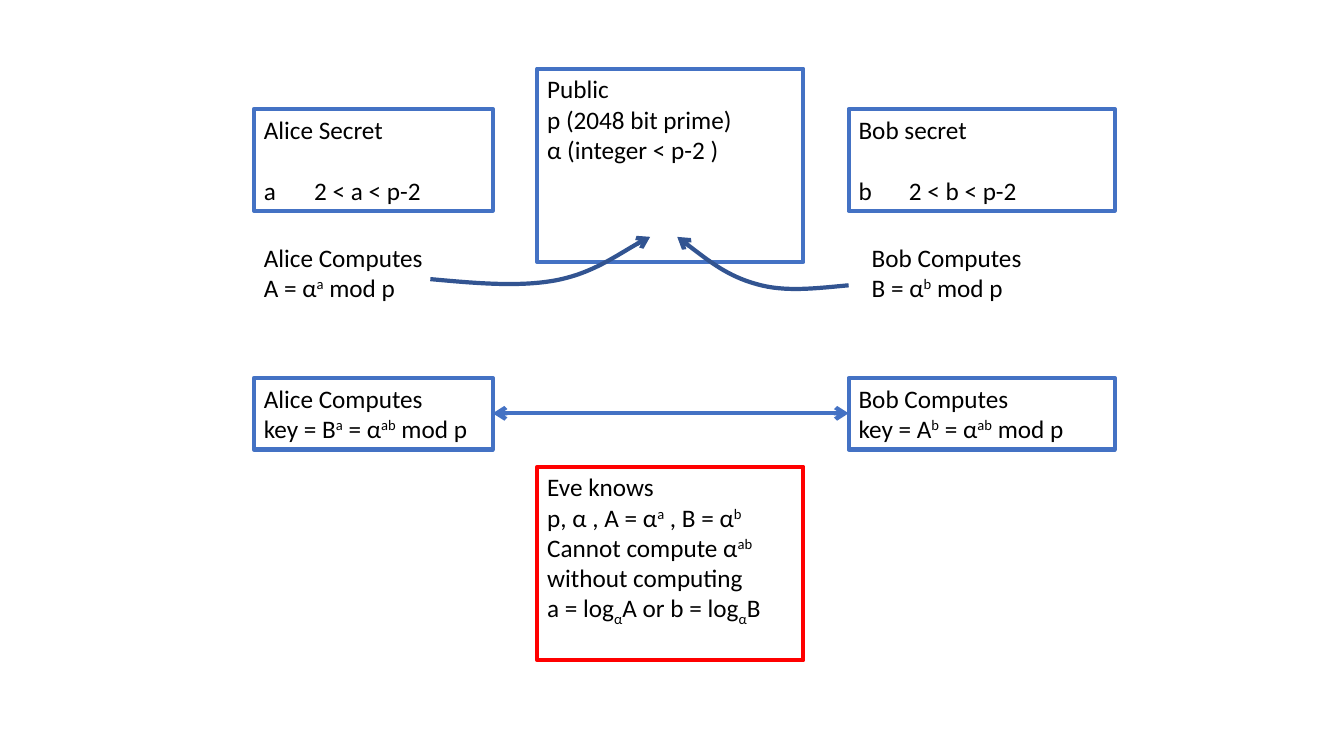
"""Draw a Diffie-Hellman key exchange between Alice and Bob."""
from dataclasses import dataclass

from lxml import etree
from pptx import Presentation
from pptx.dml.color import RGBColor
from pptx.enum.shapes import MSO_CONNECTOR, MSO_SHAPE
from pptx.enum.text import MSO_ANCHOR, PP_ALIGN
from pptx.oxml.ns import qn
from pptx.util import Pt

RECTANGLE = MSO_SHAPE.RECTANGLE
STRAIGHT = MSO_CONNECTOR.STRAIGHT
TOP = MSO_ANCHOR.TOP
LEFT = PP_ALIGN.LEFT

BLACK = RGBColor(0x00, 0x00, 0x00)
BLUE = RGBColor(0x44, 0x72, 0xC4)
NAVY = RGBColor(0x32, 0x54, 0x91)
RED = RGBColor(0xFF, 0x00, 0x00)

ALICE_X, PUBLIC_X, BOB_X = 181.4, 383.8, 606.2
ALICE_WIDTH, WIDTH = 170.6, 190.1
SECRET_Y, SEND_Y, KEY_Y = 77.8, 169.2, 270
SECRET_HEIGHT, STEP_HEIGHT, CENTRE_HEIGHT = 72.7, 51.1, 138.2
EXCHANGE_Y = 295.2
LINE_WIDTH = 3
FONT_SIZE = 18
LINE_GAP = 22
BASELINES = {"^": "30000", "_": "-25000"}


@dataclass
class Note:
    """Text whose parts are split by |, with ^ raising and _ lowering a part."""
    left: float
    top: float
    width: float
    height: float
    lines: list[str]
    frame: RGBColor | None = BLUE
    gap: float = 0


@dataclass
class Curve:
    """A start point followed by Bezier points in threes."""
    start: tuple[float, float]
    points: list[tuple[float, float]]


NOTES = [
    Note(BOB_X, SECRET_Y, WIDTH, SECRET_HEIGHT, ["Bob secret", "b\t2 < b < p-2"], gap=LINE_GAP),
    Note(PUBLIC_X, 49, WIDTH, CENTRE_HEIGHT, ["Public", "p (2048 bit prime)", "α (integer < p-2 )"]),
    Note(ALICE_X, SECRET_Y, ALICE_WIDTH, SECRET_HEIGHT,
         ["Alice Secret", "a\t2 < a < p-2"], gap=LINE_GAP),
    Note(ALICE_X, SEND_Y, WIDTH, STEP_HEIGHT, ["Alice Computes", "A = α|^a| mod p"], frame=None),
    Note(615.6, SEND_Y, WIDTH, STEP_HEIGHT, ["Bob Computes", "B = α|^b| mod p"], frame=None),
    Note(ALICE_X, KEY_Y, ALICE_WIDTH, STEP_HEIGHT,
         ["Alice Computes", "key = B|^a| = α|^ab| mod p"]),
    Note(BOB_X, KEY_Y, WIDTH, STEP_HEIGHT, ["Bob Computes", "key = A|^b| = α|^ab| mod p"]),
    Note(PUBLIC_X, 333.4, WIDTH, CENTRE_HEIGHT,
         ["Eve knows", "p, α , A = α|^a| , B = α|^b", "Cannot compute α|^ab| without computing",
          "a = log|_α|A or b = log|_α|B"], frame=RED),
]

CURVES = [
    Curve((307.4, 199.4), [(339.1, 202.3), (370.8, 205.2), (397.4, 200.2),
                           (423.4, 195.1), (447.1, 177.8), (464.4, 169.2)]),
    Curve((606.2, 203.8), [(583.2, 205.9), (560.9, 208.8), (540.7, 203),
                           (519.8, 197.3), (501.8, 182.9), (483.8, 169.2)]),
]


def style_line(line, color: RGBColor, *arrow_ends: str) -> None:
    """Colour a line and put open arrowheads on the given ends."""
    line.color.rgb = color
    line.width = Pt(LINE_WIDTH)
    for end in arrow_ends:
        etree.SubElement(line._get_or_add_ln(), qn(f"a:{end}"), type="arrow")


def write_line(paragraph, text: str) -> None:
    """Write one line with its raised and lowered parts."""
    paragraph.alignment = LEFT
    paragraph.font.name = "Calibri"
    paragraph.font.size = Pt(FONT_SIZE)
    paragraph.font.color.rgb = BLACK
    for part in text.split("|"):
        run = paragraph.add_run()
        baseline = BASELINES.get(part[0])
        run.text = part[1:] if baseline else part
        if baseline:
            run._r.get_or_add_rPr().set("baseline", baseline)


def draw_note(shapes, note: Note) -> None:
    """Draw a note, framed if it has a frame colour."""
    place = [Pt(length) for length in (note.left, note.top, note.width, note.height)]
    if note.frame is None:
        box = shapes.add_textbox(*place)
    else:
        box = shapes.add_shape(RECTANGLE, *place)
        box.shadow.inherit = False
        box.fill.background()
        style_line(box.line, note.frame)
    frame = box.text_frame
    frame.word_wrap = True
    frame.vertical_anchor = TOP
    for index, text in enumerate(note.lines):
        paragraph = frame.add_paragraph() if index else frame.paragraphs[0]
        if index and note.gap:
            paragraph.space_before = Pt(note.gap)
        write_line(paragraph, text)


def draw_curve(shapes, curve: Curve) -> None:
    """Draw a smooth arrow by joining path points into Bezier segments."""
    builder = shapes.build_freeform(*(Pt(length) for length in curve.start))
    builder.add_line_segments([(Pt(x), Pt(y)) for x, y in curve.points], close=False)
    arrow = builder.convert_to_shape()
    arrow.shadow.inherit = False
    arrow.fill.background()
    style_line(arrow.line, NAVY, "tailEnd")
    steps = list(arrow._element.iter(qn("a:lnTo")))
    for first, second, third in zip(steps[::3], steps[1::3], steps[2::3]):
        first.tag = qn("a:cubicBezTo")
        for step in (second, third):
            first.append(step[0])
            step.getparent().remove(step)


def draw_exchange(shapes) -> None:
    """Join both keys with a two-way arrow."""
    exchange = shapes.add_connector(
        STRAIGHT, Pt(ALICE_X + ALICE_WIDTH), Pt(EXCHANGE_Y), Pt(BOB_X), Pt(EXCHANGE_Y))
    style_line(exchange.line, BLUE, "headEnd", "tailEnd")
    etree.SubElement(exchange._element.spPr, qn("a:effectLst"))


def main() -> None:
    """Build and save the slide."""
    deck = Presentation()
    deck.slide_width, deck.slide_height = Pt(960), Pt(540)
    shapes = deck.slides.add_slide(deck.slide_layouts[6]).shapes
    for note in NOTES:
        draw_note(shapes, note)
    for curve in CURVES:
        draw_curve(shapes, curve)
    draw_exchange(shapes)
    deck.save("out.pptx")


if __name__ == "__main__":
    main()
